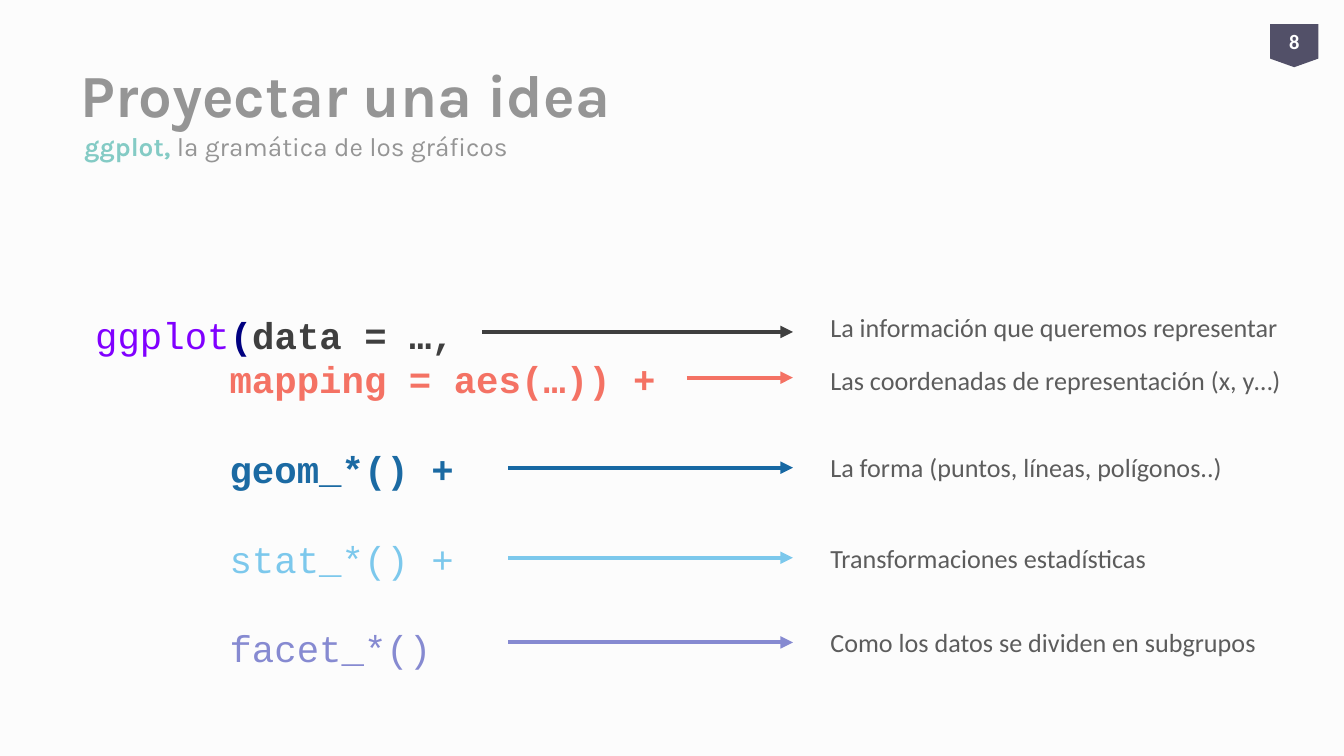
from pptx import Presentation
from pptx.util import Inches, Pt
from pptx.dml.color import RGBColor
from pptx.enum.shapes import MSO_CONNECTOR, MSO_SHAPE
from pptx.enum.text import MSO_ANCHOR, PP_ALIGN
from pptx.oxml.ns import qn
from lxml import etree

LINE = MSO_CONNECTOR.STRAIGHT
BADGE = MSO_SHAPE.FLOWCHART_OFFPAGE_CONNECTOR
MIDDLE, TOP = MSO_ANCHOR.MIDDLE, MSO_ANCHOR.TOP
CENTER = PP_ALIGN.CENTER

PAPER = RGBColor(0xFC, 0xFC, 0xFC)
WHITE = RGBColor(0xFF, 0xFF, 0xFF)
GRAY = RGBColor(0x95, 0x95, 0x95)
TEXT = RGBColor(0x5C, 0x5C, 0x5C)
TEAL = RGBColor(0x84, 0xCB, 0xC5)
SLATE = RGBColor(0x52, 0x50, 0x68)
PURPLE = RGBColor(0x80, 0x00, 0xFF)
NAVY = RGBColor(0x00, 0x00, 0x80)
DARK = RGBColor(0x3F, 0x3F, 0x3F)
CORAL = RGBColor(0xF4, 0x72, 0x64)
BLUE = RGBColor(0x1B, 0x6A, 0xA3)
STEEL = RGBColor(0x17, 0x68, 0xA3)
SKY = RGBColor(0x7C, 0xC8, 0xEC)
LILAC = RGBColor(0x86, 0x8A, 0xD1)

# Code lines: indent in inches, space before in points, (text, colour, bold) runs
CODE = [
    (0, 0, [("ggplot", PURPLE, False), ("(", NAVY, True),
            ("data = …,", DARK, True)]),
    (1, 0, [("mapping = aes(…)) +", CORAL, True)]),
    (1, 24, [("geom_*() +", BLUE, True)]),
    (1, 24, [("stat_*() +", SKY, False)]),
    (1, 24, [("facet_*()", LILAC, False)]),
]

# Notes: arrow start, arrow height, label top, arrow colour, label
NOTES = [
    (3.59, 2.47, 2.27, DARK, "La información que queremos representar"),
    (5.11, 2.81, 2.66, CORAL, "Las coordenadas de representación (x, y…)"),
    (3.78, 3.48, 3.31, STEEL, "La forma (puntos, líneas, polígonos..)"),
    (3.78, 4.15, 3.99, SKY, "Transformaciones estadísticas"),
    (3.78, 4.78, 4.61, LILAC, "Como los datos se dividen en subgrupos"),
]


def write(para, runs, font, size):
    para.font.name, para.font.size = font, Pt(size)
    for text, color, bold in runs:
        run = para.add_run()
        run.text = text
        run.font.color.rgb, run.font.bold = color, bold


def add_box(slide, box, anchor=TOP):
    frame = slide.shapes.add_textbox(*map(Inches, box)).text_frame
    frame.word_wrap = True
    frame.vertical_anchor = anchor
    return frame


def add_text(slide, box, runs, font, size, anchor=TOP):
    write(add_box(slide, box, anchor).paragraphs[0], runs, font, size)


def add_arrow(slide, left, right, y, color):
    arrow = slide.shapes.add_connector(
        LINE, Inches(left), Inches(y), Inches(right), Inches(y))
    arrow.line.color.rgb = color
    arrow.line.width = Pt(2.25)
    etree.SubElement(arrow.line._get_or_add_ln(), qn("a:tailEnd"),
                     type="triangle")
    etree.SubElement(arrow._element.spPr, qn("a:effectLst"))


def add_head(slide, x, y):
    add_text(slide, (x, y, 7.33, 0.94),
             [("Proyectar una idea", GRAY, True)], "Karla", 32, MIDDLE)
    add_text(slide, (x + 0.03, y + 0.66, 5.34, 0.4),
             [("ggplot,", TEAL, True),
              (" la gramática de los gráficos", GRAY, False)],
             "Karla", 14, MIDDLE)


def add_code(slide, box):
    frame = add_box(slide, box)
    for i, (indent, gap, runs) in enumerate(CODE):
        para = frame.add_paragraph() if i else frame.paragraphs[0]
        para.line_spacing = Pt(24)
        para.space_before = Pt(gap)
        para._p.get_or_add_pPr().set("marL", str(Inches(indent)))
        write(para, runs, "Courier New", 20)


def add_notes(slide, x, width):
    for start, y, top, color, label in NOTES:
        add_arrow(slide, start, x - 0.18, y, color)
        add_text(slide, (x, top, width, 0.34),
                 [(label, TEXT, False)], "Calibri", 14)


def add_badge(slide, box, number):
    badge = slide.shapes.add_shape(BADGE, *map(Inches, box))
    badge.shadow.inherit = False
    badge.fill.solid()
    badge.fill.fore_color.rgb = SLATE
    badge.line.fill.background()
    frame = badge.text_frame
    frame.margin_left = frame.margin_right = 0
    frame.margin_top = frame.margin_bottom = 0
    frame.vertical_anchor = MIDDLE
    para = frame.paragraphs[0]
    para.alignment = CENTER
    write(para, [(number, WHITE, True)], "Calibri", 11)


def main():
    deck = Presentation()
    # Widescreen, 16:9
    deck.slide_width = Inches(10)
    deck.slide_height = Inches(10) * 9 // 16
    slide = deck.slides.add_slide(deck.slide_layouts[6])
    slide.background.fill.solid()
    slide.background.fill.fore_color.rgb = PAPER

    add_head(slide, 0.5, 0.23)
    add_code(slide, (0.61, 2.27, 4.4, 2.79))
    add_notes(slide, 6.08, 3.73)
    add_badge(slide, (9.45, 0.18, 0.36, 0.32), "8")
    deck.save("out.pptx")


if __name__ == "__main__":
    main()
